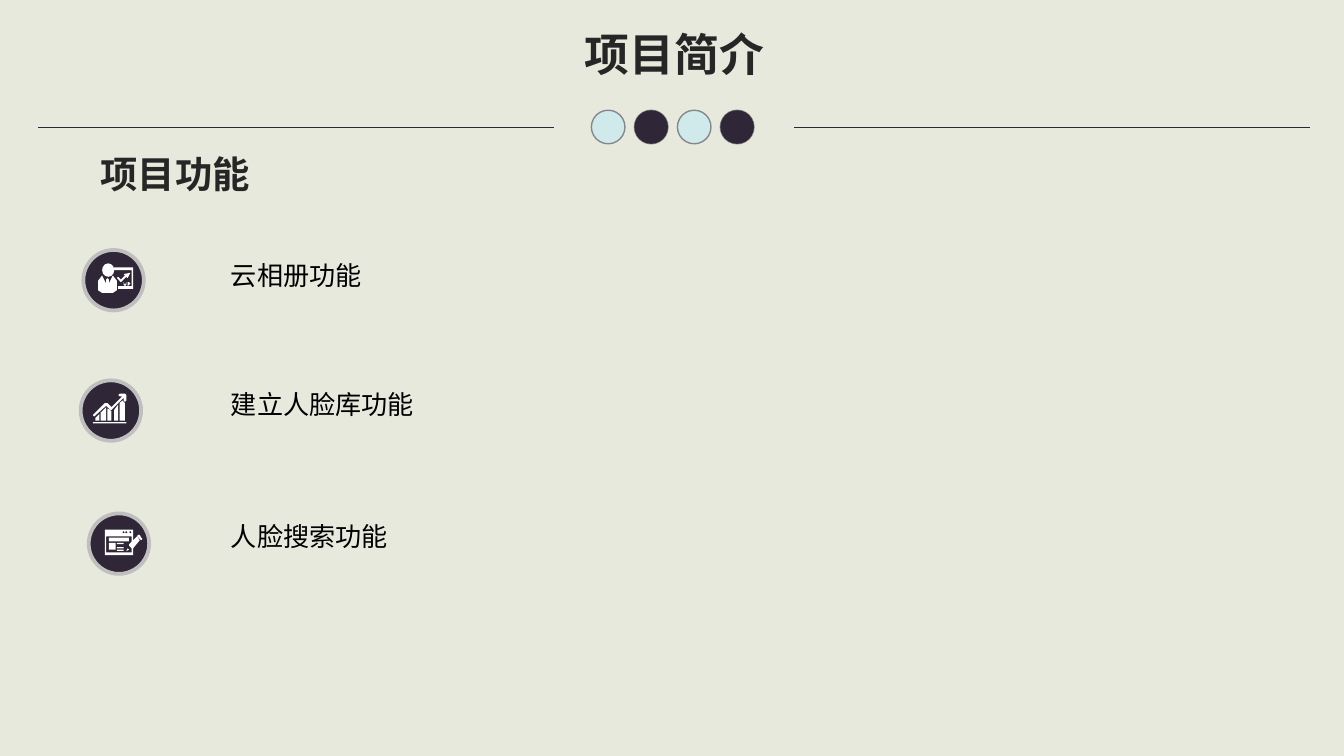
from lxml.etree import SubElement
from pptx import Presentation
from pptx.dml.color import RGBColor
from pptx.enum.shapes import MSO_CONNECTOR, MSO_SHAPE
from pptx.enum.text import MSO_ANCHOR, MSO_AUTO_SIZE, PP_ALIGN
from pptx.oxml.ns import qn
from pptx.util import Pt

PX = 9144  # EMU per px, 100 px to the inch
FONT = "Noto Sans CJK SC"
CREAM = RGBColor(0xE7, 0xE9, 0xDC)
PLUM = RGBColor(0x2F, 0x26, 0x37)
AQUA = RGBColor(0xD0, 0xEA, 0xEB)
RING = RGBColor(0xBF, 0xBF, 0xBF)
WHITE = RGBColor(0xFF, 0xFF, 0xFF)
INK = RGBColor(0x26, 0x26, 0x26)
BLACK = RGBColor(0, 0, 0)


def px(*values):
    return [v * PX for v in values]


def paint(s, fill, line=None, width=0):
    s.shadow.inherit = False
    s.fill.solid()
    s.fill.fore_color.rgb = fill
    if line is None:
        s.line.fill.background()
    else:
        s.line.color.rgb = line
        s.line.width = Pt(width)
    return s


def write(tf, text, size, color, bold=False):
    p = tf.paragraphs[0]
    p.alignment = PP_ALIGN.LEFT
    r = p.add_run()
    r.text = text
    r.font.size = Pt(size)
    r.font.bold = bold
    r.font.color.rgb = color
    r.font.name = FONT
    SubElement(r.font._element, qn("a:ea"), typeface=FONT)
    return p


def heading(s, text, size):
    tf = s.text_frame
    tf.word_wrap = False
    tf.auto_size = MSO_AUTO_SIZE.SHAPE_TO_FIT_TEXT
    tf.vertical_anchor = MSO_ANCHOR.MIDDLE
    write(tf, text, size, INK, True)


def rule(slide, x, y, w):
    c = slide.shapes.add_connector(MSO_CONNECTOR.STRAIGHT, *px(x, y, x + w, y))
    c.line.color.rgb = PLUM
    c.line.width = Pt(0.5)
    SubElement(c._element.spPr, qn("a:effectLst"))


def header(slide, x, y, w, h):
    """Title above a divider with four dots in its gap."""
    title = slide.shapes.title
    title.left, title.top, title.width, title.height = px(x + 397, y, 155, 50)
    heading(title, "项目简介", 24)
    rule_w, dot, pitch = 384, 25, 32
    rule(slide, x, y + h - 12, rule_w)
    rule(slide, x + w - rule_w, y + h - 12, rule_w)
    dots = slide.shapes.add_group_shape()
    for i in range(4):
        s = dots.shapes.add_shape(
            MSO_SHAPE.OVAL, *px(x + 412 + i * pitch, y + h - dot, dot, dot))
        paint(s, PLUM if i % 2 else AQUA, PLUM, 0.75)
        clr = s.line._ln.find(qn("a:solidFill"))[0]
        SubElement(clr, qn("a:alpha"), val="50000")


class Badge:
    """Round badge holding white icon parts, placed from its top left corner."""

    def __init__(self, slide, x, y, size):
        self.x, self.y = x, y
        self.shapes = slide.shapes.add_group_shape().shapes
        paint(self.preset(MSO_SHAPE.OVAL, 0, 0, size, size), PLUM, RING, 2)

    def preset(self, kind, x, y, w, h):
        s = self.shapes.add_shape(kind, *px(self.x + x, self.y + y, w, h))
        return paint(s, WHITE)

    def outline(self, *contours):
        moved = [[(self.x + x, self.y + y) for x, y in c] for c in contours]
        fb = self.shapes.build_freeform(*moved[0][0], scale=PX)
        for i, points in enumerate(moved):
            if i:
                fb.move_to(*points[0])
            fb.add_line_segments(points[1:], close=True)
        paint(fb.convert_to_shape(), WHITE)


def presenter_icon(b):
    # Board, head, arrow, torso and the letters UP
    b.outline([(23, 13), (23, 15), (36, 15), (36, 27), (26, 27), (26, 29), (37, 29), (37, 13)])
    b.preset(MSO_SHAPE.OVAL, 14, 10, 9, 10)
    b.outline([(26, 20), (25, 21), (28, 24), (32, 20), (33, 21), (35, 17), (30, 18),
               (31, 19), (28, 22)])
    b.outline([(22, 19), (19, 25), (19, 22), (18, 21), (17, 22), (17, 25), (14, 19),
               (11, 23), (11, 30), (14, 32), (22, 32), (25, 30), (25, 23)])
    b.outline([(30, 24), (30, 26), (31, 27), (32, 26), (32, 24), (31, 26)])
    b.outline([(33, 24), (33, 27), (34, 26), (35, 25), (34, 24)])


def growth_icon(b):
    # Baseline, five bars with cut tops, rising arrow
    b.preset(MSO_SHAPE.RECTANGLE, 9, 31, 25, 1)
    for tops in ([(14, 25), (11, 28)], [(19, 20), (15, 24)], [(23, 23), (22, 22), (20, 21)],
                 [(28, 18), (25, 22)], [(33, 17), (31, 15), (29, 17)]):
        b.outline([(tops[-1][0], 30), (tops[0][0], 30), *tops])
    b.outline([(10, 27), (19, 19), (22, 22), (23, 22), (32, 13), (32, 15), (33, 16), (34, 15),
               (34, 11), (33, 10), (29, 10), (28, 11), (29, 12), (31, 12), (23, 20),
               (20, 17), (18, 17), (9, 26)])


def editor_icon(b):
    # Window with page and button openings
    buttons = [[(x, 14), (x + 1, 13), (x + 2, 14), (x + 1, 15)] for x in (25, 27, 30)]
    b.outline([(12, 12), (33, 12), (33, 31), (12, 31)],
              [(13, 17), (13, 29), (32, 29), (32, 17)], *buttons)
    # Page content
    for box in ((15, 18, 15, 3), (15, 22, 5, 5), *((21, y, 5, 1) for y in (22, 25, 27))):
        b.preset(MSO_SHAPE.RECTANGLE, *box)
    # Pencil tip, end and shaft
    b.outline([(29, 26), (28, 28), (30, 27)])
    b.outline([(39, 20), (40, 19), (39, 18), (38, 16), (37, 16), (36, 17)])
    b.outline([(36, 17), (30, 23), (30, 24), (31, 25), (32, 26), (33, 26), (38, 20)])


def feature(slide, x, y, w, h, badge_x, badge_y, icon, text):
    """One function: its badge and its label in the box."""
    icon(Badge(slide, badge_x, badge_y, 45))
    tf = slide.shapes.add_textbox(*px(x, y, w, h)).text_frame
    tf.word_wrap = True
    p = write(tf, text, 14, BLACK)
    p.space_after = Pt(6)


def main():
    prs = Presentation()
    prs.slide_width, prs.slide_height = Pt(720), Pt(405)  # 16:9
    slide = prs.slides.add_slide(prs.slide_layouts[5])
    slide.background.fill.solid()
    slide.background.fill.fore_color.rgb = CREAM

    header(slide, 28, 15, 947, 92)
    heading(slide.shapes.add_textbox(*px(65, 107, 131, 44)), "项目功能", 20)
    for y, badge_x, badge_y, icon, text in (
            (188, 62, 186, presenter_icon, "云相册功能"),
            (284, 60, 283, growth_icon, "建立人脸库功能"),
            (382, 66, 382, editor_icon, "人脸搜索功能")):
        feature(slide, 162, y, 216, 47, badge_x, badge_y, icon, text)
    prs.save("out.pptx")


if __name__ == "__main__":
    main()
